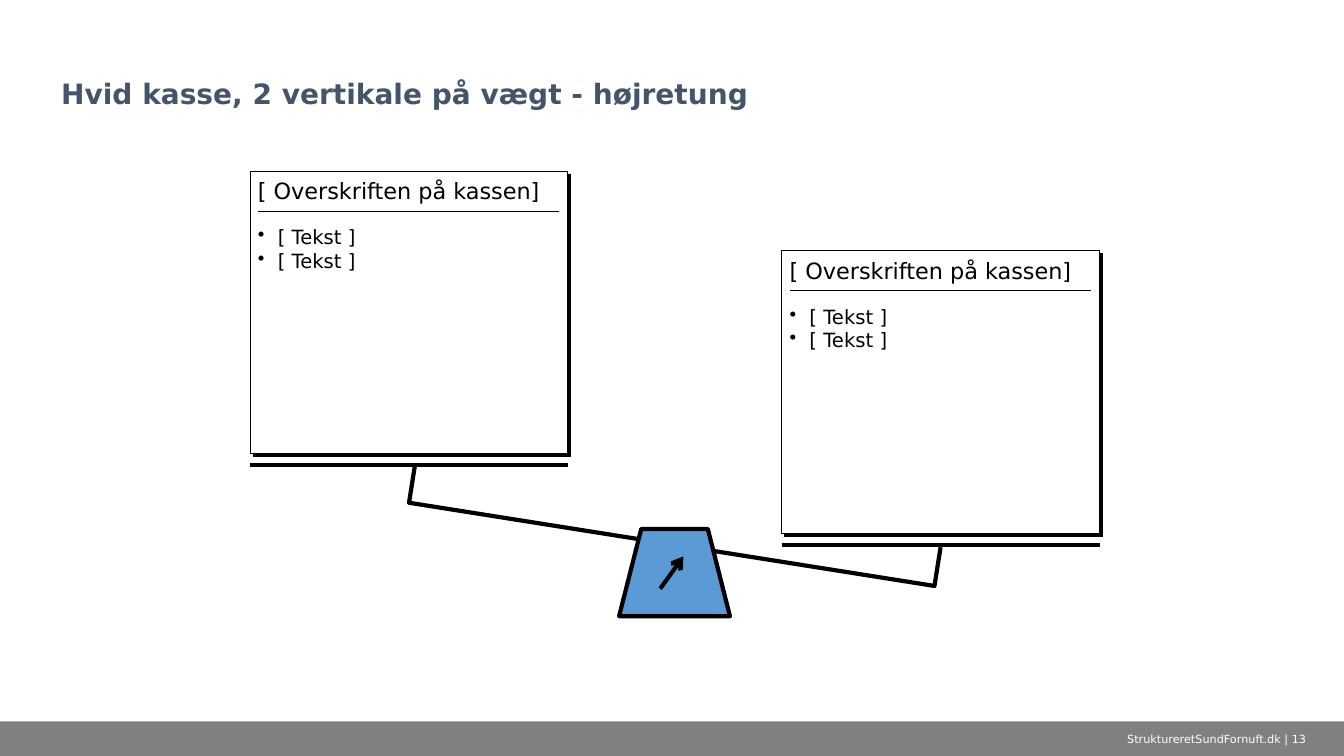
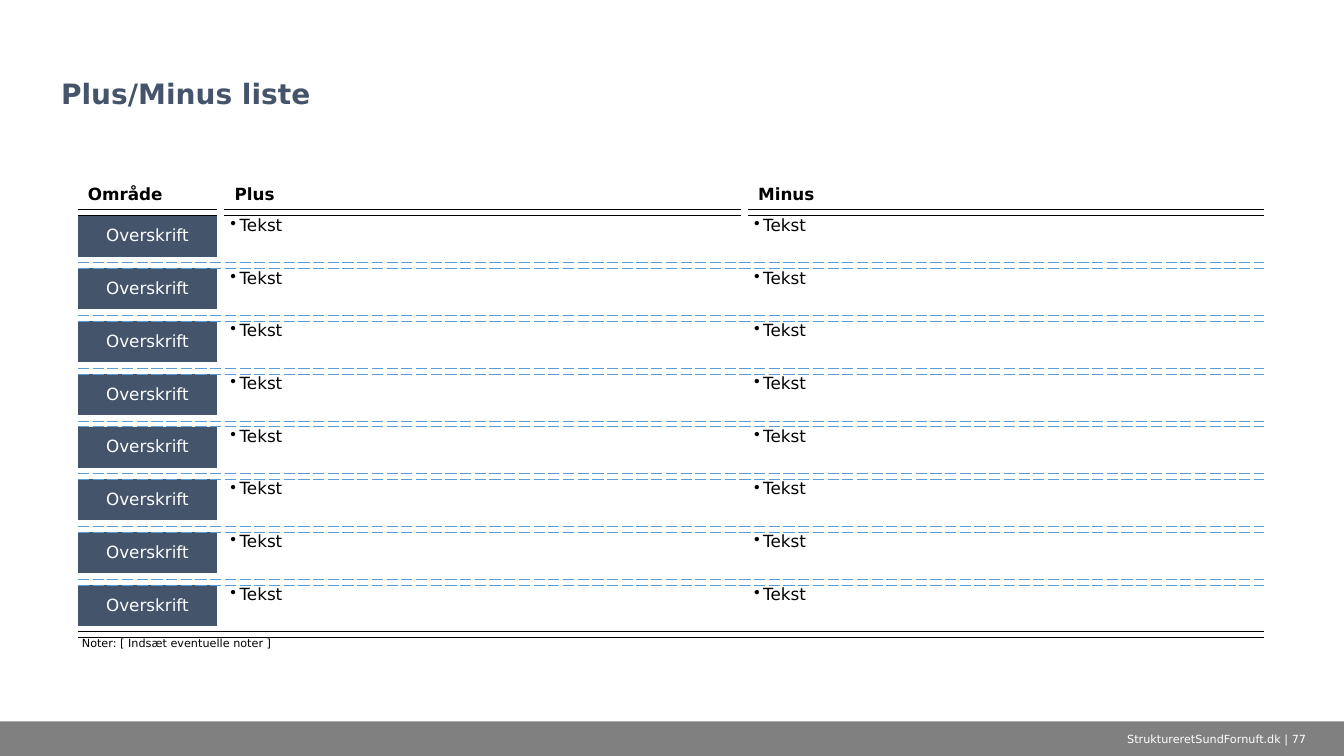
from lxml.etree import SubElement
from pptx import Presentation
from pptx.dml.color import RGBColor
from pptx.enum.shapes import MSO_CONNECTOR, MSO_SHAPE as SHAPE
from pptx.enum.text import MSO_ANCHOR as ANCHOR, PP_ALIGN as ALIGN
from pptx.oxml import parse_xml
from pptx.oxml.ns import nsdecls, qn
from pptx.util import Pt

FONT = "DejaVu Sans"
BLACK, WHITE, GREY = "000000", "FFFFFF", "808080"
NAVY, BLUE = "44546A", "5B9BD5"
SLIDE_W, SLIDE_H = 960, 540
FOOTER_TOP, FOOTER_H = 515.2, 24.8
PLAIN_TABLE = "{2D5ABB26-0587-4C30-8999-92F81FD0307C}"
BOX_W, BOX_H = 227, 201.6
BOX_INSETS = (5.6, 4.2)
AREA_COUNT = 8
HEADER_H, THIN_H, AREA_H = 21.2, 4.2, 29.3
AREA_W, GUTTER_W, LIST_W = 99.4, 5.4, 368.6


def rgb(color):
    return RGBColor.from_string(color)


def write(frame, lines, size, color=BLACK, bold=False, align=ALIGN.LEFT,
          hanging=None, spacing=None):
    frame.text = "\n".join(lines)
    for paragraph in frame.paragraphs:
        if hanging:
            properties = paragraph._p.get_or_add_pPr()
            properties.set("marL", str(Pt(hanging)))
            properties.set("indent", str(-Pt(hanging)))
            SubElement(properties, qn("a:buChar")).set("char", "•")
        paragraph.alignment = align
        if spacing:
            paragraph.line_spacing = spacing
        font = paragraph.font
        font.name, font.size, font.bold = FONT, Pt(size), bold
        font.color.rgb = rgb(color)


def set_insets(holder, horizontal, vertical):
    holder.margin_left = holder.margin_right = Pt(horizontal)
    holder.margin_top = holder.margin_bottom = Pt(vertical)


def add_text(slide, place, lines, size, anchor=ANCHOR.TOP, insets=(7.2, 3.6), **style):
    frame = slide.shapes.add_textbox(*map(Pt, place)).text_frame
    frame.word_wrap = True
    frame.vertical_anchor = anchor
    set_insets(frame, *insets)
    write(frame, lines, size, **style)


def add_shape(slide, kind, place, fill=None, line_width=None):
    shape = slide.shapes.add_shape(kind, *map(Pt, place))
    shape.shadow.inherit = False
    if fill:
        shape.fill.solid()
        shape.fill.fore_color.rgb = rgb(fill)
    else:
        shape.fill.background()
    if line_width:
        shape.line.color.rgb = rgb(BLACK)
        shape.line.width = Pt(line_width)
    else:
        shape.line.fill.background()
    return shape


def add_line(slide, start, end, width, arrow=False):
    line = slide.shapes.add_connector(MSO_CONNECTOR.STRAIGHT, *map(Pt, start + end))
    line.line.color.rgb = rgb(BLACK)
    line.line.width = Pt(width)
    if arrow:
        SubElement(line.line._get_or_add_ln(), qn("a:tailEnd")).set("type", "arrow")
    SubElement(line.element.spPr, qn("a:effectLst"))


def add_hard_shadow(shape):
    effects = shape.element.spPr.find(qn("a:effectLst"))
    effects.append(parse_xml(
        f'<a:outerShdw {nsdecls("a")} blurRad="0" dist="{Pt(3)}" dir="2700000" '
        f'algn="tl" rotWithShape="0"><a:srgbClr val="{BLACK}"/></a:outerShdw>'))


def add_slide(deck, title, number):
    slide = deck.slides.add_slide(deck.slide_layouts[6])
    add_shape(slide, SHAPE.RECTANGLE, (0, FOOTER_TOP, SLIDE_W, FOOTER_H), GREY)
    add_text(slide, (36.6, 12.2, 886.4, 70), [title], 20, ANCHOR.BOTTOM,
             color=NAVY, bold=True, spacing=0.9)
    add_text(slide, (778.4, FOOTER_TOP, 181.6, FOOTER_H),
             [f"StruktureretSundFornuft.dk | {number}"], 8, ANCHOR.MIDDLE,
             color=WHITE, align=ALIGN.CENTER)
    return slide


def add_weighed_box(slide, left, top, heading, points):
    tray_y, rule_y = top + 210, top + 28.5
    add_line(slide, (left, tray_y), (left + BOX_W, tray_y), 3)
    box = add_shape(slide, SHAPE.RECTANGLE, (left, top, BOX_W, BOX_H), WHITE, 0.5)
    add_hard_shadow(box)
    add_line(slide, (left + 5.6, rule_y), (left + BOX_W - 6, rule_y), 0.5)
    add_text(slide, (left, top, BOX_W, 28), [heading], 16, ANCHOR.BOTTOM, BOX_INSETS)
    add_text(slide, (left, top + 34.4, BOX_W, 153.4), points, 14,
             insets=BOX_INSETS, hanging=14.2)


def build_scale(deck):
    slide = add_slide(deck, "Hvid kasse, 2 vertikale på vægt - højretung", 13)
    beam = add_shape(slide, SHAPE.RIGHT_BRACKET, (468, 185, 28, 380), line_width=3)
    beam.adjustments[0] = 0
    beam.rotation = 99
    foot = add_shape(slide, SHAPE.FLOWCHART_MANUAL_OPERATION,
                     (442.2, 377.8, 79.2, 62.4), BLUE, 3)
    foot.rotation = 180
    for left, top in ((178.6, 122.2), (558.4, 179.2)):
        add_weighed_box(slide, left, top, "[ Overskriften på kassen]", ["[ Tekst ]"] * 2)
    add_line(slide, (471.6, 420.5), (488.2, 397.4), 3, arrow=True)


def underline(cells, color, width, dash):
    for cell in cells:
        cell._tc.get_or_add_tcPr().insert(0, parse_xml(
            f'<a:lnB {nsdecls("a")} w="{Pt(width)}"><a:solidFill><a:srgbClr val="{color}"/>'
            f'</a:solidFill><a:prstDash val="{dash}"/></a:lnB>'))


def clear_cell(cell):
    cell.fill.background()
    set_insets(cell, 0, 0)
    SubElement(cell.text_frame.paragraphs[0]._p, qn("a:endParaRPr")).set("sz", "100")


def fill_cell(cell, text, size=12, anchor=ANCHOR.TOP, insets=(4.3, 0), **style):
    cell.vertical_anchor = anchor
    set_insets(cell, *insets)
    write(cell.text_frame, [text], size, **style)


def build_plus_minus(deck):
    slide = add_slide(deck, "Plus/Minus liste", 77)
    heights = [HEADER_H, THIN_H] + [AREA_H, THIN_H, THIN_H] * AREA_COUNT + [AREA_H]
    widths = [AREA_W, GUTTER_W, LIST_W, GUTTER_W, LIST_W]
    frame = slide.shapes.add_table(len(heights), len(widths), Pt(55.6), Pt(128.2),
                                   Pt(sum(widths)), Pt(sum(heights)))
    for style_id in frame.element.iter(qn("a:tableStyleId")):
        style_id.text = PLAIN_TABLE
    table = frame.table
    table.first_row = table.horz_banding = False
    for column, width in zip(table.columns, widths):
        column.width = Pt(width)
    for row, height in zip(table.rows, heights):
        row.height = Pt(height)
    for cell in table.iter_cells():
        clear_cell(cell)

    grid = [list(row.cells) for row in table.rows]
    for cell, heading in zip(grid[0][::2], ("Område", "Plus", "Minus")):
        fill_cell(cell, heading, anchor=ANCHOR.BOTTOM, insets=(7.2, 3.6), bold=True)
    for header_row in grid[:2]:
        underline(header_row[::2], BLACK, 1, "solid")

    for area in range(AREA_COUNT):
        first = 2 + 3 * area
        label, _, plus, _, minus = grid[first]
        fill_cell(label, "Overskrift", anchor=ANCHOR.MIDDLE, color=WHITE,
                  align=ALIGN.CENTER)
        label.fill.solid()
        label.fill.fore_color.rgb = rgb(NAVY)
        for cell in (plus, minus):
            fill_cell(cell, "Tekst", hanging=6.5)
        last = area == AREA_COUNT - 1
        for thin_row in grid[first + 1:first + 3]:
            underline(thin_row, *((BLACK, 1, "solid") if last else (BLUE, 0.25, "dash")))

    for wide_row in grid[-2:]:
        wide_row[0].merge(wide_row[-1])
    fill_cell(grid[-1][0], "Noter: [ Indsæt eventuelle noter ]", 8, insets=(2.9, 0))


def main():
    deck = Presentation()
    deck.slide_width, deck.slide_height = Pt(SLIDE_W), Pt(SLIDE_H)
    build_scale(deck)
    build_plus_minus(deck)
    deck.save("out.pptx")


if __name__ == "__main__":
    main()
